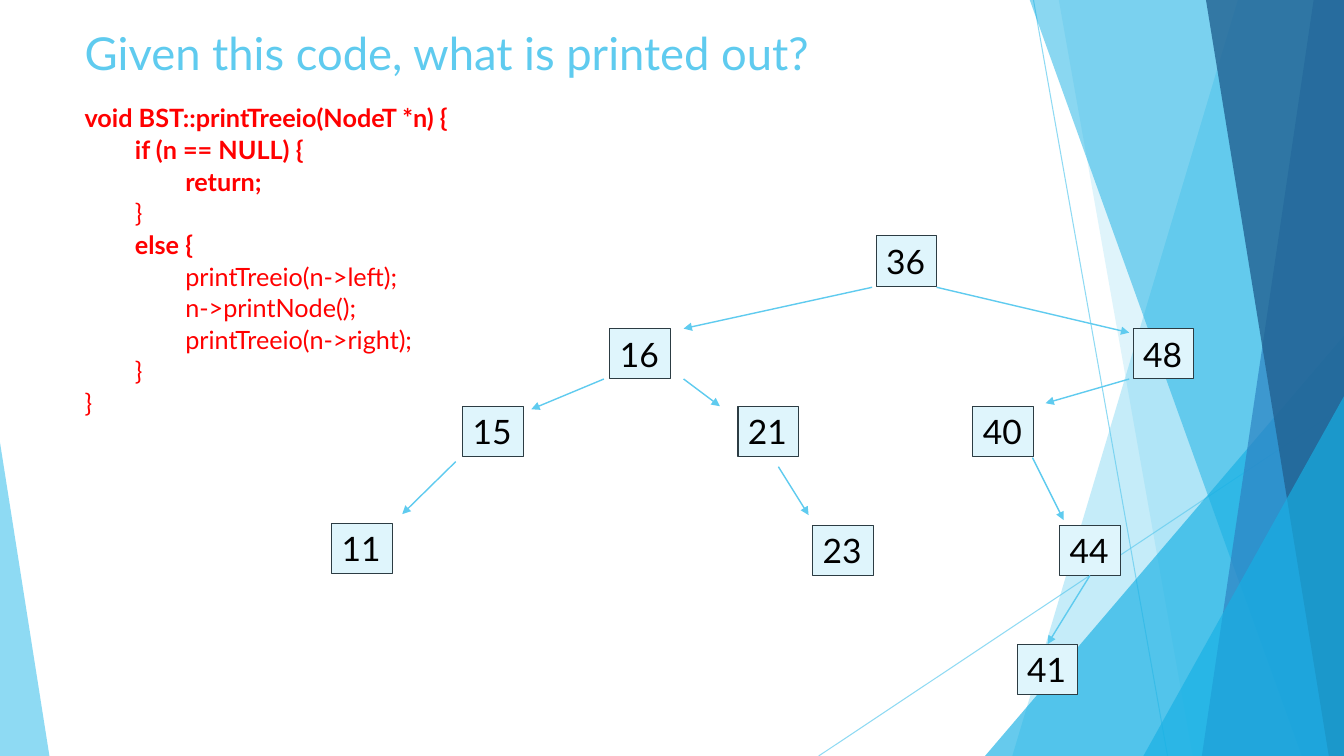
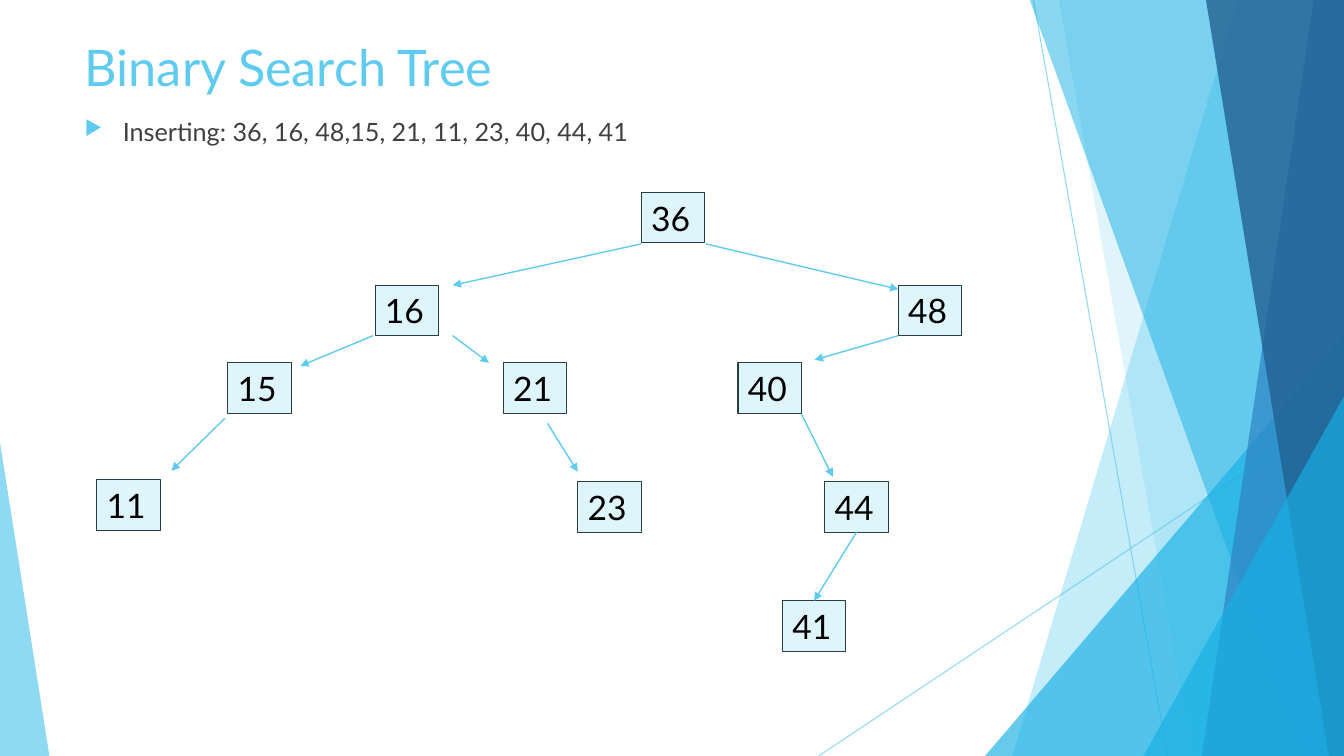
from dataclasses import dataclass
from typing import NamedTuple

import pptx
import pptx.dml.color
import pptx.enum.shapes
import pptx.enum.text
import pptx.shapes.autoshape
import pptx.shapes.connector
import pptx.slide
import pptx.text.text
import pptx.util
from lxml import etree
from pptx.oxml.ns import qn
from pptx.util import Inches

Shape = pptx.shapes.autoshape.Shape
Connector = pptx.shapes.connector.Connector
Slide = pptx.slide.Slide
Point = tuple[float, float]


@dataclass(frozen=True)
class Theme:
    font: str = "Lato"
    accent: str = "5FCBEF"
    cyan: str = "17B0E4"
    blue: str = "2E83C3"
    navy: str = "226292"
    text: str = "404040"
    code: str = "FF0000"
    node_fill: str = "DFF5FC"
    node_line: str = "2C3C43"
    node_text: str = "000000"
    body_size: float = 18
    node_size: float = 24


THEME = Theme()
WIDTH, HEIGHT = 13.33, 7.5
NODE_HEIGHT = 0.5
TEXT_LEFT, TEXT_WIDTH = 0.74, 9.4


class Band(NamedTuple):
    """A panel that reaches the right edge, given by its left corners."""
    top_x: float
    bottom_x: float
    color: str
    opacity: int


class Wedge(NamedTuple):
    left: float
    top: float
    width: float
    apex: float
    color: str
    opacity: int


class Node(NamedTuple):
    value: int
    left: float
    top: float


class Branch(NamedTuple):
    start: Point
    end: Point


class CodeLine(NamedTuple):
    level: int
    text: str
    bold: bool = False


class TreePlacement(NamedTuple):
    node_width: float
    node_dx: float = 0
    branch_dx: float = 0
    dy: float = 0


BACKDROP: list[Band | Wedge] = [
    Band(12.28, 10.04, THEME.accent, 36),
    Band(10.5, 11.83, THEME.accent, 20),
    Wedge(9.77, 3.33, 3.56, 1, THEME.cyan, 66),
    Band(10.21, 12.91, THEME.cyan, 50),
    Band(13.03, 11.92, THEME.blue, 70),
    Band(11.96, 13.18, THEME.navy, 80),
    Wedge(11.34, 3.93, 1.99, 1, THEME.cyan, 66),
    Wedge(0, 4.39, 0.49, 0, THEME.accent, 70),
]
BACKDROP_LINES = [Branch((10.25, 0), (11.58, HEIGHT)),
                  Branch((WIDTH, 4.03), (8.12, HEIGHT))]

NODES = [
    Node(36, 6.36, 1.91), Node(48, 8.91, 2.83), Node(16, 3.72, 2.83),
    Node(21, 4.99, 3.6), Node(15, 2.26, 3.6), Node(41, 7.76, 5.96),
    Node(44, 8.18, 4.78), Node(40, 7.32, 3.6), Node(23, 5.73, 4.78),
    Node(11, 0.96, 4.76),
]
BRANCHES = [
    Branch((6.36, 2.42), (4.49, 2.83)), Branch((7, 2.42), (8.91, 2.87)),
    Branch((3.7, 3.33), (2.98, 3.63)), Branch((4.49, 3.33), (4.85, 3.6)),
    Branch((2.23, 4.15), (1.7, 4.67)), Branch((5.43, 4.2), (5.73, 4.68)),
    Branch((8.91, 3.33), (8.08, 3.57)), Branch((7.95, 4.11), (8.26, 4.73)),
]
JOINED_BRANCH = (44, 41)

CODE = [
    CodeLine(0, "void BST::printTreeio(NodeT *n) {", True),
    CodeLine(1, "if (n == NULL) {", True),
    CodeLine(2, "return;", True),
    CodeLine(1, "}"),
    CodeLine(1, "else {", True),
    CodeLine(2, "printTreeio(n->left);"),
    CodeLine(2, "n->printNode();"),
    CodeLine(2, "printTreeio(n->right);"),
    CodeLine(1, "}"),
    CodeLine(0, "}"),
]


def rgb(color: str) -> pptx.dml.color.RGBColor:
    return pptx.dml.color.RGBColor.from_string(color)


def set_opacity(element: etree._Element, percent: int) -> None:
    color = next(element.iter(qn("a:srgbClr")))
    etree.SubElement(color, qn("a:alpha"), val=str(percent * 1000))


def add_run(paragraph: pptx.text.text._Paragraph, text: str, size: float,
            color: str, bold: bool = False) -> None:
    run = paragraph.add_run()
    run.text = text
    run.font.name = THEME.font
    run.font.size = pptx.util.Pt(size)
    run.font.color.rgb = rgb(color)
    run.font.bold = bold


def add_line(slide: Slide, branch: Branch, width: float) -> Connector:
    line = slide.shapes.add_connector(
        pptx.enum.shapes.MSO_CONNECTOR.STRAIGHT,
        *(Inches(value) for value in (*branch.start, *branch.end)))
    line.line.color.rgb = rgb(THEME.accent)
    line.line.width = pptx.util.Pt(width)
    etree.SubElement(line.element.spPr, qn("a:effectLst"))
    return line


def add_arrow(slide: Slide, branch: Branch) -> Connector:
    arrow = add_line(slide, branch, 1)
    etree.SubElement(arrow.line._get_or_add_ln(), qn("a:tailEnd"), type="triangle")
    return arrow


def add_band(slide: Slide, band: Band) -> Shape:
    builder = slide.shapes.build_freeform(Inches(band.top_x), Inches(-0.01), 1)
    corners = [(WIDTH, -0.01), (WIDTH, HEIGHT), (band.bottom_x, HEIGHT)]
    builder.add_line_segments([(Inches(x), Inches(y)) for x, y in corners])
    return builder.convert_to_shape()


def add_wedge(slide: Slide, wedge: Wedge) -> Shape:
    shape = slide.shapes.add_shape(
        pptx.enum.shapes.MSO_SHAPE.ISOSCELES_TRIANGLE, Inches(wedge.left),
        Inches(wedge.top), Inches(wedge.width), Inches(HEIGHT - wedge.top))
    shape.adjustments[0] = wedge.apex
    return shape


def add_backdrop(layout: pptx.slide.SlideLayout, slide: Slide) -> None:
    """Draw the backdrop on the slide, then move it to the shared layout."""
    for placeholder in list(layout.placeholders):
        if placeholder.placeholder_format.idx != 0:
            layout.shapes.element.remove(placeholder.element)
    for branch in BACKDROP_LINES:
        line = add_line(slide, branch, 0.75)
        set_opacity(line.element.spPr, 70)
    for panel in BACKDROP:
        shape = add_band(slide, panel) if isinstance(panel, Band) else add_wedge(slide, panel)
        shape.fill.solid()
        shape.fill.fore_color.rgb = rgb(panel.color)
        set_opacity(shape.element.spPr, panel.opacity)
        shape.line.fill.background()
        shape.shadow.inherit = False
    for shape in list(slide.shapes):
        if not shape.is_placeholder:
            layout.shapes.element.append(shape.element)


def set_title(slide: Slide, text: str, top: float, height: float, size: float) -> None:
    title = slide.shapes.title
    title.left, title.top = Inches(TEXT_LEFT), Inches(top)
    title.width, title.height = Inches(TEXT_WIDTH), Inches(height)
    frame = title.text_frame
    frame.auto_size = pptx.enum.text.MSO_AUTO_SIZE.NONE
    frame.vertical_anchor = pptx.enum.text.MSO_ANCHOR.MIDDLE
    paragraph = frame.paragraphs[0]
    paragraph.alignment = pptx.enum.text.PP_ALIGN.LEFT
    add_run(paragraph, text, size, THEME.accent)


def add_body(slide: Slide, top: float, height: float) -> pptx.text.text.TextFrame:
    box = slide.shapes.add_textbox(
        Inches(TEXT_LEFT), Inches(top), Inches(TEXT_WIDTH), Inches(height))
    box.text_frame.word_wrap = True
    return box.text_frame


def add_code(slide: Slide) -> None:
    frame = add_body(slide, 0.97, 5.64)
    for index, line in enumerate(CODE):
        paragraph = frame.add_paragraph() if index else frame.paragraphs[0]
        paragraph.space_before = pptx.util.Pt(1)
        paragraph._p.get_or_add_pPr().set("marL", str(Inches(0.5 * line.level)))
        add_run(paragraph, line.text, THEME.body_size, THEME.code, line.bold)


def add_bullet(slide: Slide, text: str) -> None:
    paragraph = add_body(slide, 1.1, 5.51).paragraphs[0]
    paragraph.space_before = pptx.util.Pt(10)
    properties = paragraph._p.get_or_add_pPr()
    properties.set("marL", str(Inches(0.38)))
    properties.set("indent", str(Inches(-0.38)))
    color = etree.SubElement(properties, qn("a:buClr"))
    etree.SubElement(color, qn("a:srgbClr"), val=THEME.accent)
    etree.SubElement(properties, qn("a:buSzPct"), val="80000")
    etree.SubElement(properties, qn("a:buChar"), char="▶")
    add_run(paragraph, text, THEME.body_size, THEME.text)


def add_node(slide: Slide, node: Node, placement: TreePlacement) -> Shape:
    shape = slide.shapes.add_shape(
        pptx.enum.shapes.MSO_SHAPE.RECTANGLE,
        Inches(node.left + placement.node_dx), Inches(node.top + placement.dy),
        Inches(placement.node_width), Inches(NODE_HEIGHT))
    shape.shadow.inherit = False
    shape.fill.solid()
    shape.fill.fore_color.rgb = rgb(THEME.node_fill)
    shape.line.color.rgb = rgb(THEME.node_line)
    shape.line.width = pptx.util.Pt(0.75)
    frame = shape.text_frame
    frame.word_wrap = True
    frame.margin_right = 0
    frame.auto_size = pptx.enum.text.MSO_AUTO_SIZE.SHAPE_TO_FIT_TEXT
    paragraph = frame.paragraphs[0]
    paragraph.alignment = pptx.enum.text.PP_ALIGN.LEFT
    add_run(paragraph, str(node.value), THEME.node_size, THEME.node_text)
    return shape


def add_tree(slide: Slide, placement: TreePlacement) -> None:
    shapes = {node.value: add_node(slide, node, placement) for node in NODES}
    for branch in BRANCHES:
        start, end = ((x + placement.branch_dx, y + placement.dy) for x, y in branch)
        add_arrow(slide, Branch(start, end))
    parent, child = JOINED_BRANCH
    arrow = add_arrow(slide, Branch((0, 0), (0, 0)))
    arrow.begin_connect(shapes[parent], 2)
    arrow.end_connect(shapes[child], 0)


def main() -> None:
    presentation = pptx.Presentation()
    presentation.slide_width = Inches(WIDTH)
    presentation.slide_height = Inches(HEIGHT)
    layout = presentation.slide_layouts[5]

    code_slide = presentation.slides.add_slide(layout)
    add_backdrop(layout, code_slide)
    set_title(code_slide, "Given this code, what is printed out?", 0.17, 0.69, 32.4)
    add_code(code_slide)
    add_tree(code_slide, TreePlacement(0.6, 2.33, 2.29, 0.43))

    insert_slide = presentation.slides.add_slide(layout)
    set_title(insert_slide, "Binary Search Tree", 0.3, 0.72, 36)
    add_bullet(insert_slide, "Inserting: 36, 16, 48,15, 21, 11, 23, 40, 44, 41")
    add_tree(insert_slide, TreePlacement(0.63))

    presentation.save("out.pptx")


if __name__ == "__main__":
    main()
